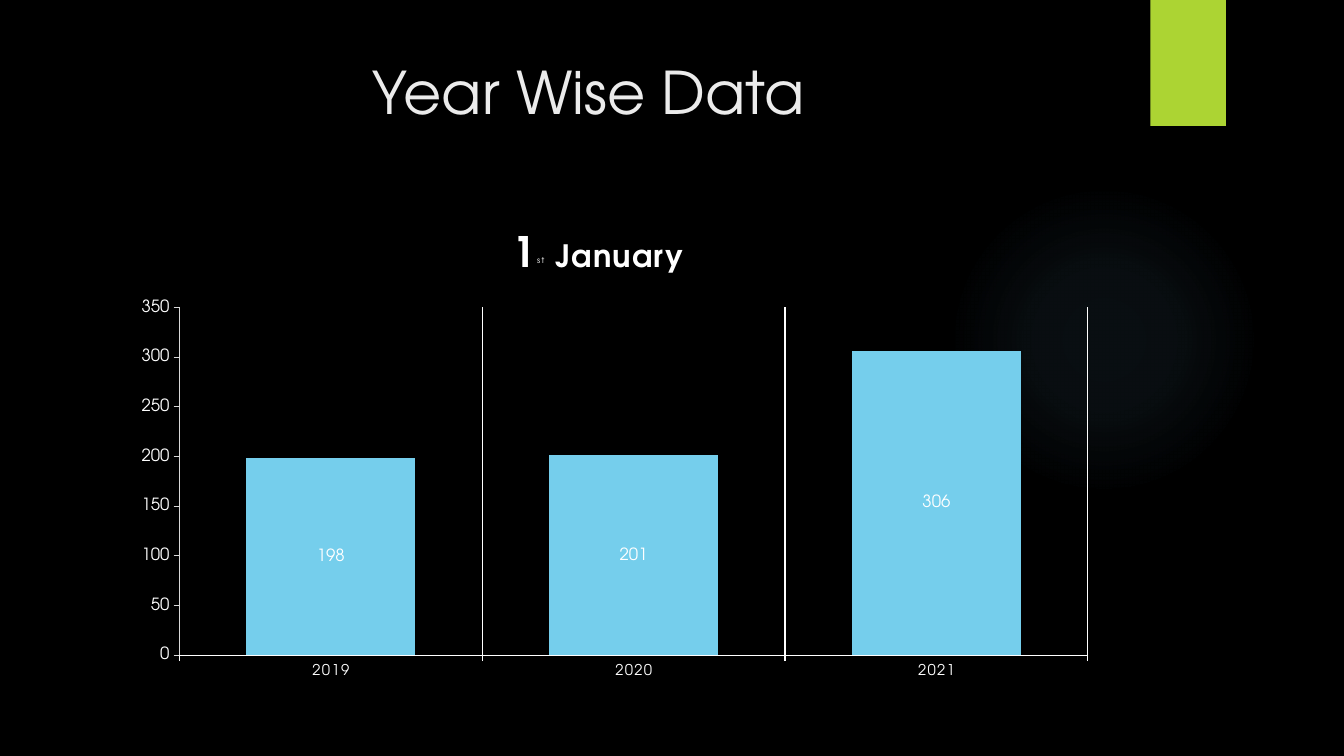
from lxml import etree
from pptx import Presentation
from pptx.chart import data as chart_data
from pptx.dml.color import RGBColor
from pptx.enum import chart as chart_enum, shapes, text
from pptx.oxml import ns, parse_xml
from pptx.util import Inches, Pt

TITLE = "Year Wise Data"
CHART_TITLE = [("1", 30, True, 0), ("st", 10, False, 30000), (" January", 22, True, 0)]
YEARS = ["2019", "2020", "2021"]
VALUES = [198, 201, 306]
GLOW_STOPS = [(0, 7), (36, 6), (69, 0)]

FONT = "TeX Gyre Adventor"
BLACK = RGBColor(0x00, 0x00, 0x00)
WHITE = RGBColor(0xFF, 0xFF, 0xFF)
HEADING = RGBColor(0xEB, 0xEB, 0xEB)
AXIS_GREY = RGBColor(0xD9, 0xD9, 0xD9)
GREEN = RGBColor(0xAC, 0xD4, 0x33)
SKY = RGBColor(0x75, 0xCE, 0xEC)
GLOW = RGBColor(0x7A, 0xC4, 0xF0)

CHART_BOX = (1.21, 2.24, 9.78, 4.59)
PLOT_BOX = (1.78, 3.05, 9.01, 3.45)
CHART_TITLE_AT = (5.05, 2.29)


def style_font(font, size, color, bold=False):
    font.name = FONT
    font.size = Pt(size)
    font.bold = bold
    font.color.rgb = color


def add_plain_shape(slide, preset, *box):
    shape = slide.shapes.add_shape(preset, *map(Inches, box))
    shape.shadow.inherit = False
    shape.line.fill.background()
    return shape


def add_glow(slide):
    glow = add_plain_shape(slide, shapes.MSO_SHAPE.OVAL, 9.41, 1.83, 3.08, 3.08)
    stops = "".join(
        f'<a:gs pos="{position * 1000}"><a:srgbClr val="{GLOW}">'
        f'<a:alpha val="{alpha * 1000}"/></a:srgbClr></a:gs>'
        for position, alpha in GLOW_STOPS
    )
    gradient = parse_xml(
        f'<a:gradFill {ns.nsdecls("a")}><a:gsLst>{stops}</a:gsLst><a:path path="circle">'
        '<a:fillToRect l="50000" t="50000" r="50000" b="50000"/></a:path></a:gradFill>'
    )
    glow._element.spPr.find(ns.qn("a:prstGeom")).addnext(gradient)


def add_title(slide):
    box = slide.shapes.add_textbox(*map(Inches, (3.6, 0.5, 7.39, 1.53)))
    frame = box.text_frame
    frame.word_wrap = True
    frame.vertical_anchor = text.MSO_ANCHOR.TOP
    run = frame.paragraphs[0].add_run()
    run.text = TITLE
    style_font(run.font, 42, HEADING)


def set_layout(parent, box, inner=False):
    left, top, width, height = CHART_BOX
    fractions = [(box[0] - left) / width, (box[1] - top) / height]
    fractions += [size / whole for size, whole in zip(box[2:], (width, height))]
    names = ["x", "y", "w", "h"][: len(box)]
    target = '<c:layoutTarget val="inner"/>' if inner else ""
    modes = "".join(f'<c:{name}Mode val="edge"/>' for name in names[:2])
    sizes = "".join(f'<c:{n} val="{f:.4f}"/>' for n, f in zip(names, fractions))
    layout = parse_xml(
        f'<c:layout {ns.nsdecls("c")}><c:manualLayout>{target}{modes}{sizes}'
        "</c:manualLayout></c:layout>"
    )
    for old in parent.findall(ns.qn("c:layout")):
        parent.remove(old)
    text_part = parent.find(ns.qn("c:tx"))
    if text_part is None:
        parent.insert(0, layout)
    else:
        text_part.addnext(layout)


def style_axis(axis, size, line_color):
    axis.major_tick_mark = chart_enum.XL_TICK_MARK.OUTSIDE
    axis.minor_tick_mark = chart_enum.XL_TICK_MARK.NONE
    axis.format.line.color.rgb = line_color
    axis.format.line.width = Pt(0.75)
    style_font(axis.tick_labels.font, size, WHITE)


def add_chart_title(chart):
    chart.has_title = True
    paragraph = chart.chart_title.text_frame.paragraphs[0]
    for words, size, bold, baseline in CHART_TITLE:
        run = paragraph.add_run()
        run.text = words
        style_font(run.font, size, WHITE, bold)
        run.font._element.set("spc", "100")
        run.font._element.set("baseline", str(baseline))
    set_layout(chart.chart_title._element, CHART_TITLE_AT)


def add_year_chart(slide):
    content = chart_data.CategoryChartData()
    content.categories = YEARS
    content.add_series("Series 1", VALUES)
    chart = slide.shapes.add_chart(
        chart_enum.XL_CHART_TYPE.COLUMN_STACKED, *map(Inches, CHART_BOX), content
    ).chart
    chart.has_legend = False
    style_font(chart.font, 10, WHITE)
    add_chart_title(chart)

    years, counts = chart.category_axis, chart.value_axis
    style_axis(years, 10.6, WHITE)
    years.tick_labels.font._element.set("spc", "100")
    years.has_major_gridlines = True
    years.major_gridlines.format.line.color.rgb = WHITE
    years.major_gridlines.format.line.width = Pt(0.75)
    style_axis(counts, 12, AXIS_GREY)
    counts.has_major_gridlines = False
    counts.minimum_scale, counts.maximum_scale, counts.major_unit = 0, 350, 50

    plot = chart.plots[0]
    plot.gap_width, plot.overlap = 79, 100
    plot.vary_by_categories = False
    series = plot.series[0]
    series.format.fill.solid()
    series.format.fill.fore_color.rgb = SKY
    labels = series.data_labels
    labels.show_value = True
    labels.position = chart_enum.XL_LABEL_POSITION.CENTER
    style_font(labels.font, 12, WHITE)
    set_layout(chart._chartSpace.chart.plotArea, PLOT_BOX, inner=True)


def main():
    presentation = Presentation()
    presentation.slide_width, presentation.slide_height = Inches(13.33), Inches(7.5)
    slide = presentation.slides.add_slide(presentation.slide_layouts[6])
    slide.background.fill.solid()
    slide.background.fill.fore_color.rgb = BLACK
    add_glow(slide)
    tab = add_plain_shape(slide, shapes.MSO_SHAPE.RECTANGLE, 11.41, 0, 0.75, 1.25)
    tab.fill.solid()
    tab.fill.fore_color.rgb = GREEN
    add_title(slide)
    add_year_chart(slide)
    presentation.save("out.pptx")


if __name__ == "__main__":
    main()
